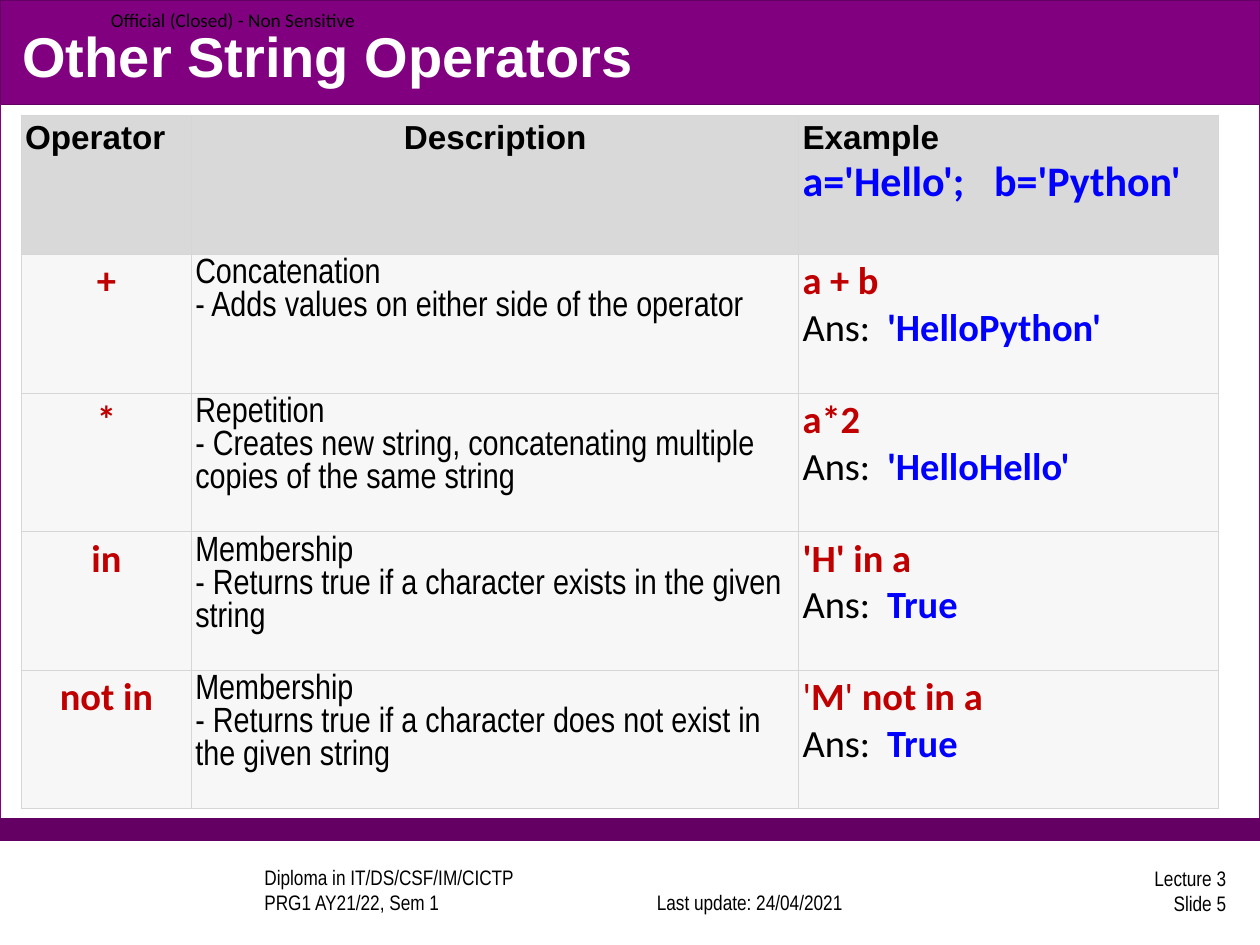
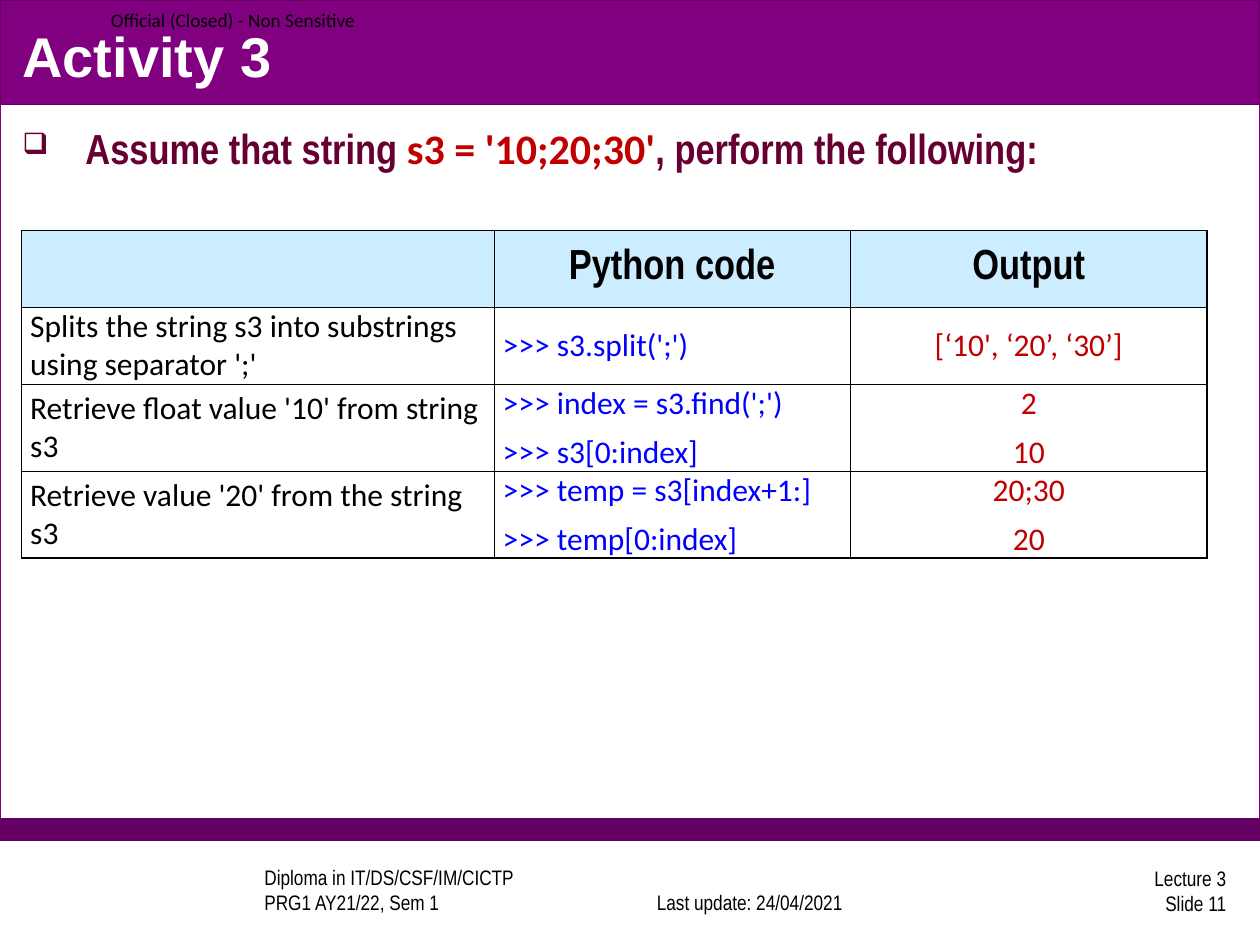
from lxml import etree
from pptx import Presentation, util as u
from pptx.dml.color import RGBColor
from pptx.enum import shapes, text
from pptx.oxml import ns

BLACK = RGBColor(0, 0, 0)
WHITE = RGBColor(255, 255, 255)
PURPLE = RGBColor(0x80, 0x00, 0x80)
DARK_PURPLE = RGBColor(0x64, 0x00, 0x64)
MAROON = RGBColor(0x66, 0x00, 0x33)
RED = RGBColor(0xC0, 0x00, 0x00)
BLUE = RGBColor(0, 0, 0xFF)
HEADER_GREY = RGBColor(0xD9, 0xD9, 0xD9)
ROW_GREY = RGBColor(0xF7, 0xF7, 0xF7)
GRID_GREY = RGBColor(0xD6, 0xD6, 0xD6)
HEADER_BLUE = RGBColor(0xCC, 0xEC, 0xFF)

LEFT, CENTER, RIGHT = text.PP_ALIGN.LEFT, text.PP_ALIGN.CENTER, text.PP_ALIGN.RIGHT
TOP, MIDDLE, BOTTOM = text.MSO_ANCHOR.TOP, text.MSO_ANCHOR.MIDDLE, text.MSO_ANCHOR.BOTTOM

STYLES = {
    "title": ("Arial", 32, WHITE, True),
    "footer": ("Arial Narrow", 12, BLACK, False),
    "marking": ("Calibri", 11, BLACK, False),
    "operator heading": ("Arial", 19, BLACK, True),
    "variables": ("Calibri", 24, BLUE, True),
    "operator": ("Calibri", 22, RED, True),
    "quote": ("Calibri", 22, RED, False),
    "description": ("Arial Narrow", 20, BLACK, False),
    "answer label": ("Calibri", 22, BLACK, False),
    "answer": ("Calibri", 22, BLUE, True),
    "question": ("Arial Narrow", 24, MAROON, True),
    "question code": ("Calibri", 24, RED, True),
    "activity heading": ("Arial Narrow", 24, BLACK, True),
    "task": ("Calibri", 18, BLACK, False),
    "code": ("Calibri", 18, BLUE, False),
    "output": ("Calibri", 18, RED, False),
}
TAB_STOPS = {"variables": 1.52, "answer label": 0.67}
SPACE_BETWEEN = {"code": 6, "output": 6}

OPERATORS = [
    ("+", ["Concatenation", "- Adds values on either side of the operator"],
     [("a + b", "operator")], "'HelloPython'"),
    ("*", ["Repetition", "- Creates new string, concatenating multiple copies of the same string"],
     [("a*2", "operator")], "'HelloHello'"),
    ("in", ["Membership", "- Returns true if a character exists in the given string"],
     [("'H' in a", "operator")], "True"),
    ("not in", ["Membership", "- Returns true if a character does not exist in the given string"],
     [("'", "quote"), ("M", "operator"), ("'", "quote"), (" not in a", "operator")], "True"),
]
QUESTION = [("Assume that string ", "question"), ("s3 = '10;20;30'", "question code"),
            (", perform the following:", "question")]
ACTIVITIES = [
    (["Splits the string s3 into substrings using separator ';'"],
     [">>> s3.split(';')"], ["[‘10', ‘20’, ‘30’]"]),
    (["Retrieve float value '10' from string", "s3"],
     [">>> index = s3.find(';')", ">>> s3[0:index]"], ["2", "10"]),
    (["Retrieve value '20' from the string", "s3"],
     [">>> temp = s3[index+1:]", ">>> temp[0:index]"], ["20;30", "20"]),
]


def lines(style, *texts):
    return [[(line, style)] for line in texts]


def write(frame, paragraphs, align=LEFT):
    for index, runs in enumerate(paragraphs):
        paragraph = frame.add_paragraph() if index else frame.paragraphs[0]
        paragraph.alignment = align
        first_style = runs[0][1]
        if index and first_style in SPACE_BETWEEN:
            paragraph.space_before = u.Pt(SPACE_BETWEEN[first_style])
        if first_style in TAB_STOPS:
            tabs = etree.SubElement(paragraph._p.get_or_add_pPr(), ns.qn("a:tabLst"))
            etree.SubElement(tabs, ns.qn("a:tab"), pos=str(u.Inches(TAB_STOPS[first_style])), algn="l")
        for content, style in runs:
            run = paragraph.add_run()
            run.text = content
            font = run.font
            font.name, size, font.color.rgb, font.bold = STYLES[style]
            font.size = u.Pt(size)


def add_text(slide, box, paragraphs, anchor=MIDDLE, align=LEFT, margins=(0.1, 0.05)):
    frame = slide.shapes.add_textbox(*map(u.Inches, box)).text_frame
    frame.word_wrap = True
    frame.vertical_anchor = anchor
    frame.margin_left = frame.margin_right = u.Inches(margins[0])
    frame.margin_top = frame.margin_bottom = u.Inches(margins[1])
    write(frame, paragraphs, align)
    return frame


def add_band(slide, top, height, fill, line):
    band = slide.shapes.add_shape(shapes.MSO_SHAPE.RECTANGLE, 0, u.Inches(top),
                                  u.Inches(10), u.Inches(height))
    band.shadow.inherit = False
    band.fill.solid()
    band.fill.fore_color.rgb = fill
    band.line.color.rgb = line
    band.line.width = u.Pt(0.75)


def add_page(presentation, title, number):
    slide = presentation.slides.add_slide(presentation.slide_layouts[6])
    add_band(slide, 0, 6.67, WHITE, PURPLE)
    add_band(slide, 6.5, 0.17, DARK_PURPLE, DARK_PURPLE)
    add_band(slide, 0, 0.83, PURPLE, DARK_PURPLE)
    add_text(slide, (2, 6.89, 2.67, 0.42),
             lines("footer", "Diploma in IT/DS/CSF/IM/CICTP", "PRG1 AY21/22, Sem 1"), BOTTOM)
    add_text(slide, (4.91, 6.89, 2.08, 0.42),
             lines("footer", "Last update: 24/04/2021"), BOTTOM, CENTER)
    add_text(slide, (7.75, 6.86, 2.08, 0.42),
             lines("footer", "Lecture 3", f"Slide {number}"), MIDDLE, RIGHT)
    add_text(slide, (0.88, 0, 2.13, 0.31),
             lines("marking", "Official (Closed) - Non Sensitive"), margins=(0, 0))
    add_text(slide, (0.08, 0.13, 9.83, 0.62), lines("title", title))
    return slide


def set_borders(cell, color, widths):
    properties = cell._tc.get_or_add_tcPr()
    for index, (side, width) in enumerate(zip("LRTB", widths)):
        line = etree.Element(ns.qn(f"a:ln{side}"), w=str(u.Pt(width)))
        fill = etree.SubElement(line, ns.qn("a:solidFill"))
        etree.SubElement(fill, ns.qn("a:srgbClr"), val=str(color))
        properties.insert(index, line)


def add_grid(slide, origin, columns, heights, rows, aligns, anchor, margins, fills,
             line_color, vertical_lines, horizontal_lines):
    size = sum(columns), sum(heights)
    table = slide.shapes.add_table(len(rows), len(columns), *map(u.Inches, origin + size)).table
    table.first_row = table.horz_banding = False
    for column, width in zip(table.columns, columns):
        column.width = u.Inches(width)
    for r, (row, height) in enumerate(zip(rows, heights)):
        table.rows[r].height = u.Inches(height)
        for c, paragraphs in enumerate(row):
            cell = table.cell(r, c)
            cell.vertical_anchor = anchor
            cell.margin_left = cell.margin_right = u.Inches(margins[0])
            cell.margin_top = cell.margin_bottom = u.Inches(margins[1])
            cell.fill.solid()
            cell.fill.fore_color.rgb = fills[min(r, 1)]
            set_borders(cell, line_color, vertical_lines[c:c + 2] + horizontal_lines[r:r + 2])
            write(cell.text_frame, paragraphs, aligns[min(r, 1)][c])


def add_operators(presentation):
    slide = add_page(presentation, "Other String Operators", 5)
    rows = [[lines("operator heading", "Operator"), lines("operator heading", "Description"),
             lines("operator heading", "Example") + lines("variables", "a='Hello';\tb='Python'")]]
    for operator, description, example, answer in OPERATORS:
        rows.append([lines("operator", operator), lines("description", *description),
                     [example, [("Ans:\t", "answer label"), (answer, "answer")]]])
    add_grid(slide, (0.17, 0.92), (1.35, 4.82, 3.33), [1.1] * 5, rows,
             ((LEFT, CENTER, LEFT), (CENTER, LEFT, LEFT)), TOP, (0.03, 0.03),
             (HEADER_GREY, ROW_GREY), GRID_GREY, [0.75] * 4, [0.75] * 6)


def add_activity(presentation):
    slide = add_page(presentation, "Activity 3", 11)
    frame = add_text(slide, (0.08, 0.92, 9.83, 0.62), [QUESTION], TOP)
    properties = frame.paragraphs[0]._p.get_or_add_pPr()
    properties.set("marL", str(u.Inches(0.5)))
    properties.set("indent", str(u.Inches(-0.5)))
    etree.SubElement(properties, ns.qn("a:buSzPct"), val="70000")
    etree.SubElement(properties, ns.qn("a:buChar"), char="❑")
    rows = [[[], lines("activity heading", "Python code"), lines("activity heading", "Output")]]
    for task, code, output in ACTIVITIES:
        rows.append([lines("task", *task), lines("code", *code), lines("output", *output)])
    add_grid(slide, (0.17, 1.83), (3.75, 2.83, 2.83), (0.61, 0.61, 0.69, 0.69), rows,
             ((LEFT, CENTER, CENTER), (LEFT, LEFT, CENTER)), MIDDLE, (0.07, 0),
             (HEADER_BLUE, WHITE), BLACK, [1, 0.5, 0.5, 1], [1, 1, 1, 0.5, 1])


def main():
    presentation = Presentation()
    presentation.slide_width = u.Inches(10)
    presentation.slide_height = u.Inches(7.5)
    add_operators(presentation)
    add_activity(presentation)
    presentation.save("out.pptx")


if __name__ == "__main__":
    main()
